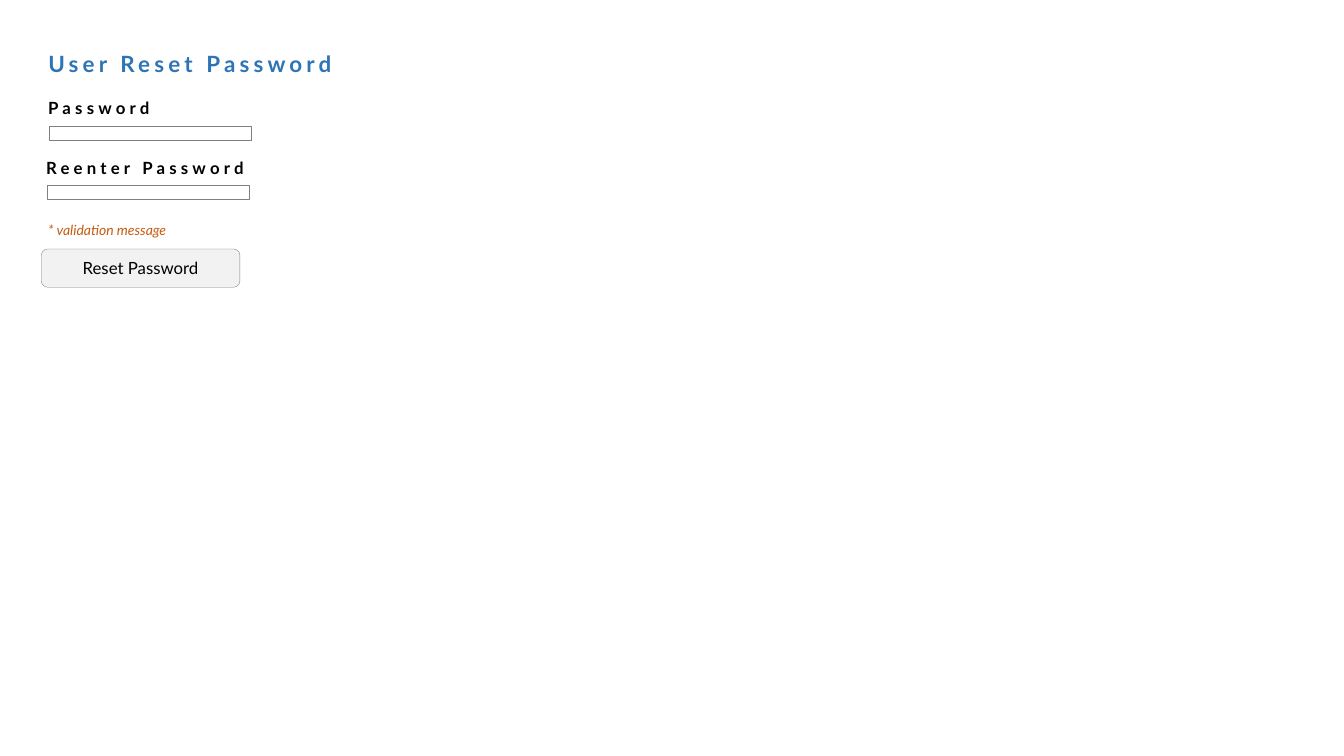
from pptx import Presentation
from pptx.dml.color import RGBColor
from pptx.enum.shapes import MSO_SHAPE
from pptx.enum.text import MSO_ANCHOR, MSO_AUTO_SIZE, PP_ALIGN
from pptx.util import Inches, Pt

FONT = "Lato"
BLACK = RGBColor(0x00, 0x00, 0x00)
WHITE = RGBColor(0xFF, 0xFF, 0xFF)
GRAY = RGBColor(0x80, 0x80, 0x80)
LIGHT_GRAY = RGBColor(0xF2, 0xF2, 0xF2)
BLUE = RGBColor(0x2E, 0x75, 0xB6)
ORANGE = RGBColor(0xC5, 0x5A, 0x11)


def place(shape, left, top, width, height):
    shape.left, shape.top = Inches(left), Inches(top)
    shape.width, shape.height = Inches(width), Inches(height)


def write_text(shape, text, size, color, bold=False, italic=False,
               spacing=0, align=PP_ALIGN.LEFT, margins=(0.02, 0.03)):
    frame = shape.text_frame
    frame.word_wrap = True
    frame.auto_size = MSO_AUTO_SIZE.NONE
    frame.vertical_anchor = MSO_ANCHOR.MIDDLE
    frame.margin_left = frame.margin_right = Inches(0.1)
    frame.margin_top, frame.margin_bottom = map(Inches, margins)
    para = frame.paragraphs[0]
    para.alignment = align
    para.font.name = FONT
    para.font.size = Pt(size)
    para.font.bold = bold
    para.font.italic = italic
    para.font.color.rgb = color
    span = para.add_run()
    span.text = text
    if spacing:
        span._r.get_or_add_rPr().set("spc", str(spacing * 100))


def add_title(page, text):
    title = page.shapes.title
    place(title, 0.38, 0.48, 4.36, 0.32)
    write_text(title, text, 16, BLUE, bold=True, spacing=3)


def add_label(page, text, left, top, height, size, color, **style):
    box = page.shapes.add_textbox(Inches(left), Inches(top), Inches(3), Inches(height))
    write_text(box, text, size, color, **style)


def add_outlined_shape(page, kind, left, top, width, height, fill):
    shape = page.shapes.add_shape(
        kind, Inches(left), Inches(top), Inches(width), Inches(height))
    shape.shadow.inherit = False
    shape.fill.solid()
    shape.fill.fore_color.rgb = fill
    shape.line.color.rgb = GRAY
    shape.line.width = Pt(0.25)
    return shape


def add_field(page, label, left, top):
    add_label(page, label, left, top, 0.25, 12, BLACK, bold=True, spacing=3)
    add_outlined_shape(page, MSO_SHAPE.RECTANGLE, left + 0.11, top + 0.3, 2, 0.14, WHITE)


def add_button(page, text, left, top, width, height):
    button = add_outlined_shape(
        page, MSO_SHAPE.ROUNDED_RECTANGLE, left, top, width, height, LIGHT_GRAY)
    write_text(button, text, 12, BLACK, align=PP_ALIGN.CENTER, margins=(0, 0.01))


def main():
    deck = Presentation()
    deck.slide_width, deck.slide_height = Inches(13.33), Inches(7.5)
    page = deck.slides.add_slide(deck.slide_layouts.get_by_name("Title Only"))
    add_title(page, "User Reset Password")
    add_field(page, "Password", 0.38, 0.95)
    add_field(page, "Reenter Password", 0.36, 1.54)
    add_label(page, "* validation message", 0.38, 2.18, 0.22, 10, ORANGE, italic=True)
    add_button(page, "Reset Password", 0.41, 2.47, 1.97, 0.38)
    deck.save("out.pptx")


main()
